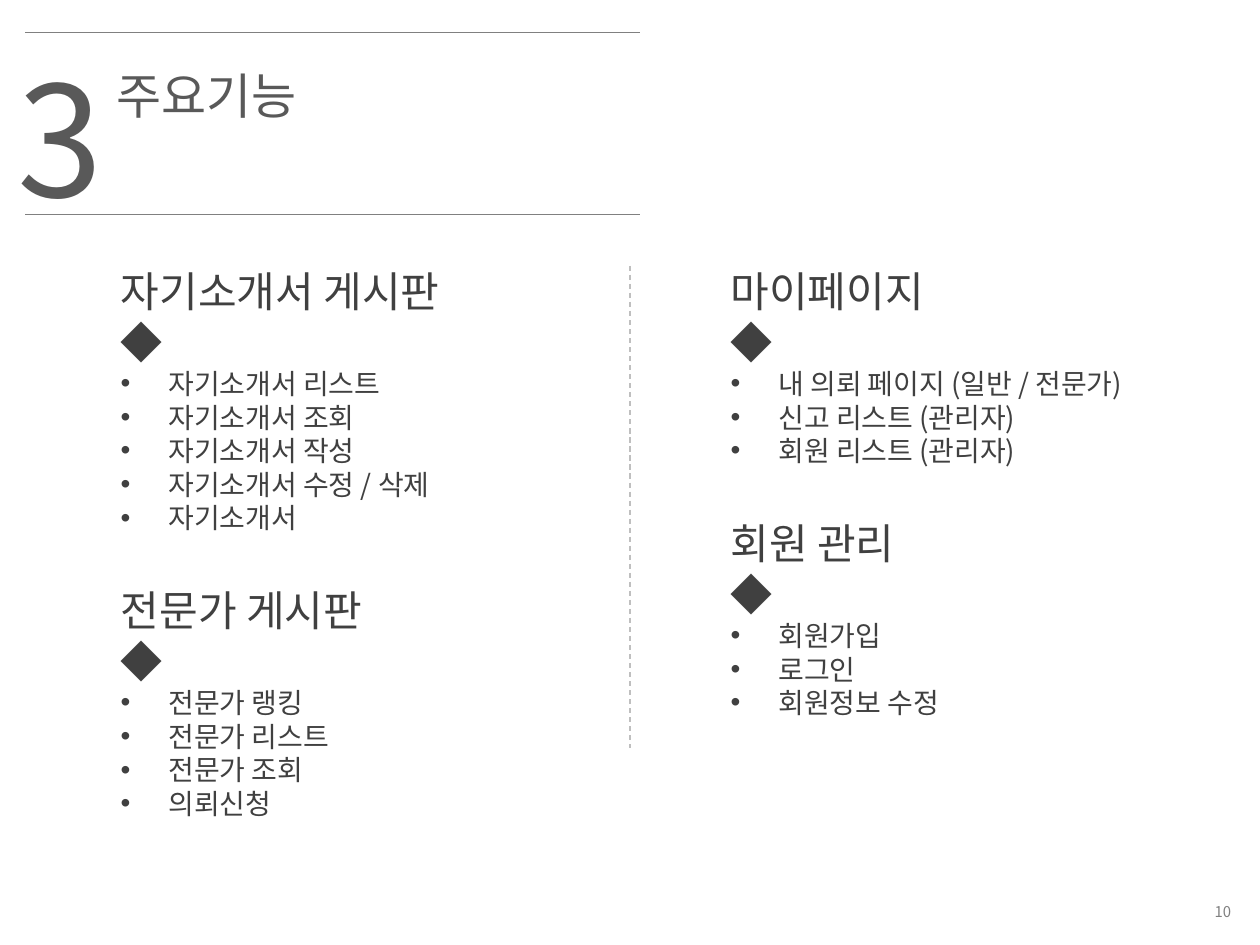
"""Build the key features slide on a grid of 1000 columns by 750 rows."""
from lxml.etree import SubElement
from pptx import Presentation
from pptx.dml.color import RGBColor
from pptx.enum.dml import MSO_LINE
from pptx.enum.shapes import MSO_CONNECTOR
from pptx.enum.text import MSO_ANCHOR, PP_ALIGN
from pptx.oxml.ns import qn
from pptx.util import Inches, Pt

deck = Presentation()
deck.slide_width, deck.slide_height = Inches(10), Inches(7.5)
cell = deck.slide_width // 1000
slide = deck.slides.add_slide(deck.slide_layouts[6])
face = "Noto Sans CJK KR"
hue = RGBColor.from_string


def add_box(col, row, wide, high, anchor=MSO_ANCHOR.TOP):
    box = slide.shapes.add_textbox(*(n * cell for n in (col, row, wide, high)))
    frame = box.text_frame
    frame.word_wrap, frame.vertical_anchor = True, anchor
    return frame


def add_text(para, text, size, color, mark=False, gap=0):
    props = para._p.get_or_add_pPr()
    if mark:
        props.set("marL", str(38 * cell))
        props.set("indent", str(-38 * cell))
        SubElement(props, qn("a:buFont")).set("typeface", "Arial")
        SubElement(props, qn("a:buChar")).set("char", "•")
    para.line_spacing = Pt(size * 1.2)
    if gap:
        para.space_before = Pt(gap)
    run = para.add_run()
    run.text = text
    look = {"size": Pt(size), "name": face}
    for key, value in look.items():
        setattr(run.font, key, value)
    run.font.color.rgb = hue(color)
    SubElement(run._r.get_or_add_rPr(), qn("a:ea")).set("typeface", face)


rules = [
    (20, 26, 508, 26, "808080", MSO_LINE.SOLID),
    (20, 170, 508, 170, "808080", MSO_LINE.SOLID),
    (500, 211, 500, 594, "BFBFBF", MSO_LINE.DASH),
]
for *ends, color, dash in rules:
    rule = slide.shapes.add_connector(MSO_CONNECTOR.STRAIGHT, *(n * cell for n in ends))
    rule.line.color.rgb = hue(color)
    for key, value in {"width": Pt(0.75), "dash_style": dash}.items():
        setattr(rule.line, key, value)
    SubElement(rule._element.spPr, qn("a:effectLst"))

heads = [("3", 88, (4, 30, 118, 158)), ("주요기능", 28, (83, 47, 449, 57))]
for text, size, place in heads:
    add_text(add_box(*place).paragraphs[0], text, size, "595959")

lists = {
    86: {
        "자기소개서 게시판": [
            "자기소개서 리스트",
            "자기소개서 조회",
            "자기소개서 작성",
            "자기소개서 수정 / 삭제",
            "자기소개서",
        ],
        "전문가 게시판": ["전문가 랭킹", "전문가 리스트", "전문가 조회", "의뢰신청"],
    },
    570: {
        "마이페이지": [
            "내 의뢰 페이지 (일반 / 전문가)",
            "신고 리스트 (관리자)",
            "회원 리스트 (관리자)",
        ],
        "회원 관리": ["회원가입", "로그인", "회원정보 수정"],
    },
}
for col, groups in lists.items():
    frame = add_box(col, 206, 378, 454)
    para = frame.paragraphs[0]
    for order, (title, items) in enumerate(groups.items()):
        if order:
            para = frame.add_paragraph()
        add_text(para, title, 24, "404040", gap=28.8 * order)
        add_text(frame.add_paragraph(), "◆", 24, "404040")
        for item in items:
            add_text(frame.add_paragraph(), item, 16, "404040", mark=True)

para = add_box(776, 710, 211, 27, MSO_ANCHOR.MIDDLE).paragraphs[0]
para.alignment = PP_ALIGN.RIGHT
add_text(para, "10", 8.5, "808080")

deck.save("out.pptx")
